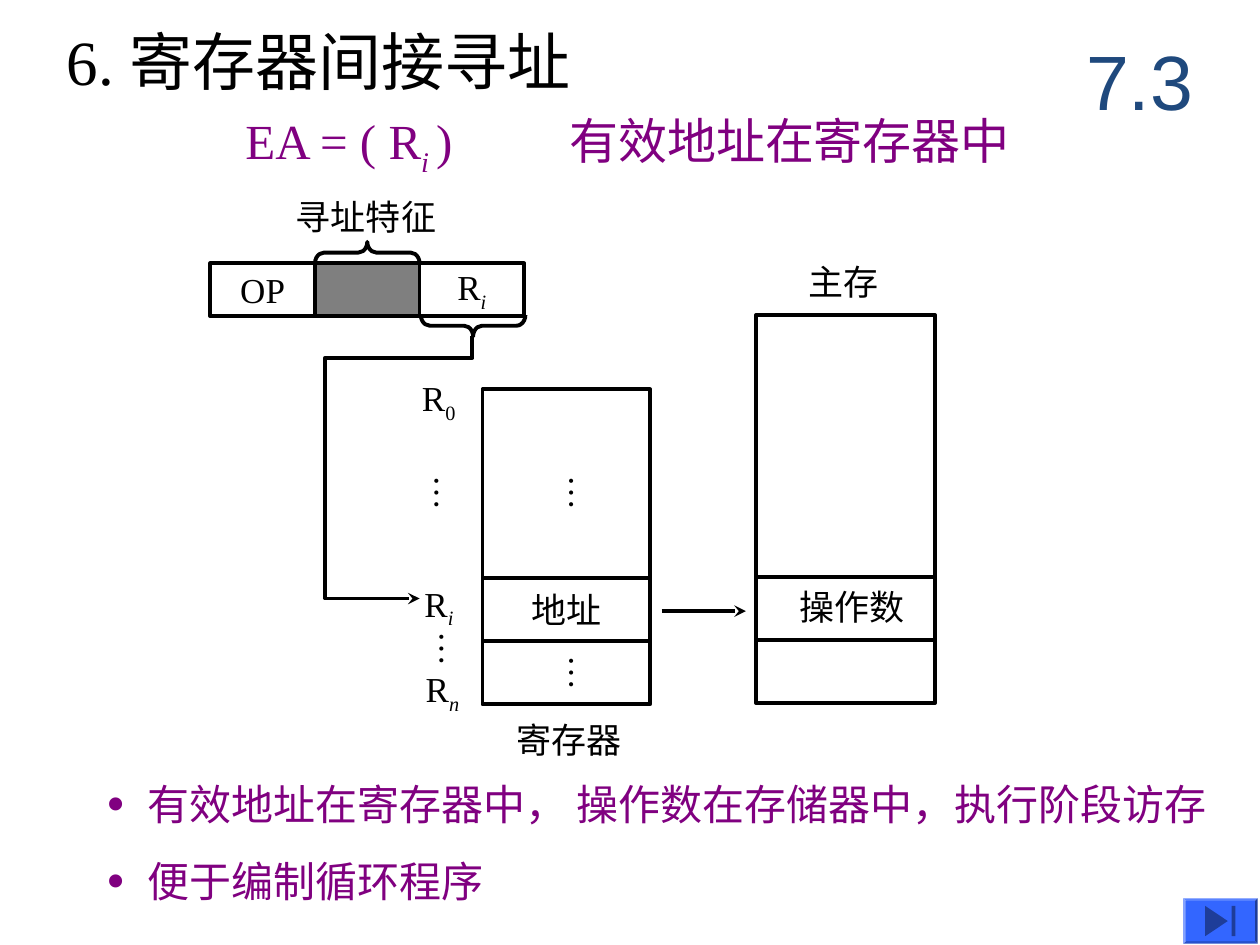
from lxml import etree
from pptx import Presentation
from pptx.dml.color import RGBColor
from pptx.enum.shapes import MSO_CONNECTOR, MSO_SHAPE
from pptx.enum.text import MSO_ANCHOR, MSO_AUTO_SIZE, PP_ALIGN
from pptx.oxml.ns import qn
from pptx.util import Inches, Pt

BLACK = RGBColor(0x00, 0x00, 0x00)
PURPLE = RGBColor(0x80, 0x00, 0x80)
NAVY = RGBColor(0x1F, 0x49, 0x7D)
BLUE = RGBColor(0x33, 0x66, 0xFF)
SERIF = "Times New Roman"

prs = Presentation()
prs.slide_width, prs.slide_height = Inches(10), Inches(7.5)
slide = prs.slides.add_slide(prs.slide_layouts[6])
shapes = slide.shapes


def write(shape, runs, size=20, color=BLACK, font=SERIF, wrap=False):
    """Fill a shape with (text, style) runs; style "i" is italic, "_" is subscript."""
    frame = shape.text_frame
    frame.word_wrap = wrap
    para = frame.paragraphs[0]
    for text, style in runs:
        run = para.add_run()
        run.text = text
        run.font.size = Pt(size)
        run.font.name = font
        run.font.color.rgb = color
        run.font.italic = "i" in style
        if "_" in style:
            run.font._element.set("baseline", "-25000")
    return para


def outline(shape):
    """Give a shape or connector the plain black line of the diagram."""
    shape.line.color.rgb = BLACK
    shape.line.width = Pt(2.25)
    if hasattr(shape, "fill"):
        shape.fill.background()
        shape.shadow.inherit = False
    else:
        etree.SubElement(shape._element.spPr, qn("a:effectLst"))
    return shape


# Headings and labels: left, top, width, height, runs, size, colour
labels = [
    (0.43, 0.13, 4.32, 0.7, [("6. 寄存器间接寻址", "")], 36, BLACK),
    (1.85, 0.83, 1.86, 0.63, [("EA = ( R", ""), ("i ", "i_"), (")", "")], 28, PURPLE),
    (4.42, 0.83, 3.75, 0.57, [("有效地址在寄存器中", "")], 28, PURPLE),
    (2.25, 1.5, 1.31, 0.44, [("寻址特征", "")], 20, BLACK),
    (6.32, 2.02, 0.75, 0.44, [("主存", "")], 20, BLACK),
    (6.25, 4.6, 1.03, 0.44, [("操作数", "")], 20, BLACK),
    (4, 5.65, 1.42, 0.44, [("寄存器", "")], 20, BLACK),
    (3.25, 2.94, 0.46, 0.48, [("R", ""), ("0", "_")], 20, BLACK),
    (3.27, 4.57, 0.43, 0.48, [("R", ""), ("i", "i_")], 20, BLACK),
    (3.28, 5.25, 0.46, 0.48, [("R", ""), ("n", "i_")], 20, BLACK),
]
for x, y, w, h, runs, size, color in labels:
    box = shapes.add_textbox(Inches(x), Inches(y), Inches(w), Inches(h))
    write(box, runs, size, color, wrap=True)
    box.text_frame.margin_right = 0

# Section number
number = shapes.add_textbox(Inches(8.42), Inches(0.17), Inches(1.25), Inches(0.92))
number.text_frame.vertical_anchor = MSO_ANCHOR.MIDDLE
write(number, [("7.3", "")], 44, NAVY, "Arial", True).alignment = PP_ALIGN.CENTER

# Instruction word
CELL, TOP = 0.83, 2.09
word = [[("OP", "")], [], [("R", ""), ("i", "i_")]]
for col, runs in enumerate(word):
    field = outline(shapes.add_shape(
        MSO_SHAPE.RECTANGLE, Inches(1.67 + col * CELL), Inches(TOP),
        Inches(CELL), Inches(0.42)))
    if runs:
        write(field, runs).alignment = PP_ALIGN.CENTER
    else:
        field.fill.solid()
        field.fill.fore_color.rgb = BLACK
        shade = field._element.spPr.find(".//" + qn("a:srgbClr"))
        etree.SubElement(shade, qn("a:alpha")).set("val", "50000")

# Braces above the mode field and below the register field
for x, y, turn in [(2.83, 1.59, 90), (3.67, 2.17, 270)]:
    brace = outline(shapes.add_shape(
        MSO_SHAPE.LEFT_BRACE, Inches(x), Inches(y), Inches(0.17), Inches(CELL)))
    brace.rotation = turn
    brace.adjustments[0] = 0.42

# Register file: upper part, address cell, lower part
for y, h, text in [(3.09, 1.5, ""), (4.59, 0.5, "地址"), (5.09, 0.5, "")]:
    cell = outline(shapes.add_shape(
        MSO_SHAPE.RECTANGLE, Inches(3.83), Inches(y), Inches(1.33), Inches(h)))
    if text:
        write(cell, [(text, "")]).alignment = PP_ALIGN.CENTER

# Vertical dots
for x, y in [(4.32, 3.67), (4.32, 5.1), (3.25, 3.67), (3.29, 4.91)]:
    dots = shapes.add_textbox(Inches(x), Inches(y), Inches(0.53), Inches(0.38))
    write(dots, [("…", "")])
    frame = dots.text_frame
    frame.margin_left = frame.margin_right = Inches(0.05)
    frame.margin_top = frame.margin_bottom = Inches(0.1)
    frame.auto_size = MSO_AUTO_SIZE.SHAPE_TO_FIT_TEXT
    frame._txBody.bodyPr.set("vert", "eaVert")

# Main memory and the borders of its operand cell
outline(shapes.add_shape(
    MSO_SHAPE.RECTANGLE, Inches(6), Inches(2.5), Inches(1.42), Inches(3.08)))
for y in (4.58, 5.08):
    outline(shapes.add_connector(
        MSO_CONNECTOR.STRAIGHT, Inches(6), Inches(y), Inches(7.42), Inches(y)))

# Arrows from instruction to register, and from register to memory
route = [(3.75, 2.67), (3.75, 2.84), (2.58, 2.84), (2.58, 4.75), (3.33, 4.75)]
points = [(Inches(x), Inches(y)) for x, y in route]
pen = shapes.build_freeform(*points[0])
pen.add_line_segments(points[1:], close=False)
bent = outline(pen.convert_to_shape())
fetch = outline(shapes.add_connector(
    MSO_CONNECTOR.STRAIGHT, Inches(5.25), Inches(4.85), Inches(5.92), Inches(4.85)))
for arrow in (bent, fetch):
    etree.SubElement(arrow.line._get_or_add_ln(), qn("a:tailEnd")).set("type", "stealth")

# Bullet notes
notes = [
    (6.13, 9.25, "有效地址在寄存器中， 操作数在存储器中，执行阶段访存"),
    (6.74, 7.67, "便于编制循环程序"),
]
for y, w, text in notes:
    note = shapes.add_textbox(Inches(0.75), Inches(y), Inches(w), Inches(0.57))
    para = write(note, [(text, "")], 24, PURPLE, wrap=True)
    props = para._p.get_or_add_pPr()
    props.set("marL", str(Inches(0.32)))
    props.set("indent", str(-Inches(0.32)))
    tint = etree.SubElement(props, qn("a:buClr"))
    etree.SubElement(tint, qn("a:srgbClr")).set("val", str(PURPLE))
    etree.SubElement(props, qn("a:buSzPct")).set("val", "130000")
    etree.SubElement(props, qn("a:buFont")).set("typeface", SERIF)
    etree.SubElement(props, qn("a:buChar")).set("char", "•")

# Navigation button on a bevelled frame
EDGE = 0.02
for kind, gap in [(MSO_SHAPE.BEVEL, 0), (MSO_SHAPE.ACTION_BUTTON_END, EDGE)]:
    button = shapes.add_shape(
        kind, Inches(9.39 + gap), Inches(7.13 + gap),
        Inches(0.59 - 2 * gap), Inches(0.36 - 2 * gap))
    button.shadow.inherit = False
    button.fill.solid()
    button.fill.fore_color.rgb = BLUE
    button.line.fill.background()
    if kind == MSO_SHAPE.BEVEL:
        button.adjustments[0] = 0.06

prs.save("out.pptx")
